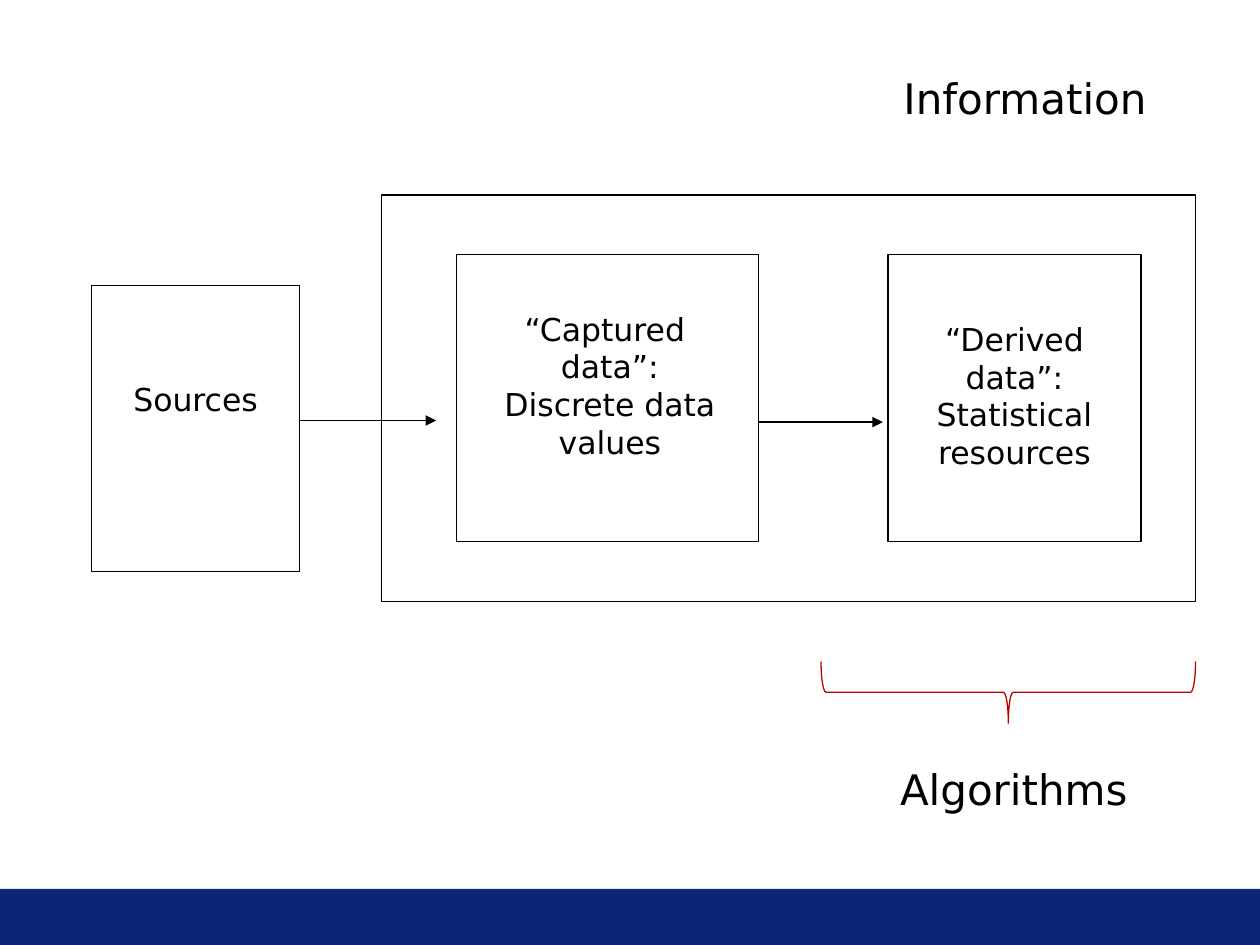
from dataclasses import dataclass

from lxml.etree import SubElement
from pptx import Presentation
from pptx.dml.color import RGBColor
from pptx.enum.shapes import MSO_CONNECTOR, MSO_SHAPE as Preset
from pptx.enum.text import MSO_ANCHOR, MSO_AUTO_SIZE, PP_ALIGN
from pptx.oxml.ns import qn
from pptx.util import Pt

BLACK, RED, NAVY = "000000", "C00000", "0C2577"
FONT = "DejaVu Sans"
LINE_WIDTH = 0.75
SLIDE_WIDTH, SLIDE_HEIGHT = 720, 540


@dataclass(frozen=True)
class Area:
    """A rectangle on the slide, in points."""
    left: float
    top: float
    width: float
    height: float

    @property
    def right(self) -> float:
        return self.left + self.width

    def lengths(self) -> tuple:
        return Pt(self.left), Pt(self.top), Pt(self.width), Pt(self.height)


@dataclass(frozen=True)
class Label:
    paragraphs: tuple
    area: Area
    size: float = 18


@dataclass(frozen=True)
class Arrow:
    start: float
    end: float
    y: float


def paint(color_format, color: str) -> None:
    color_format.rgb = RGBColor.from_string(color)


def add_outline(slide, area: Area, preset=Preset.RECTANGLE, color: str = BLACK):
    shape = slide.shapes.add_shape(preset, *area.lengths())
    shape.shadow.inherit = False
    shape.fill.background()
    paint(shape.line.color, color)
    shape.line.width = Pt(LINE_WIDTH)
    return shape


def add_band(slide, area: Area, color: str) -> None:
    band = slide.shapes.add_shape(Preset.RECTANGLE, *area.lengths())
    band.shadow.inherit = False
    band.fill.solid()
    paint(band.fill.fore_color, color)
    band.line.fill.background()


def add_text(slide, paragraphs: tuple, area: Area, *, size: float = 18,
             color: str = BLACK, align=PP_ALIGN.CENTER) -> None:
    """Write one paragraph per string; a newline is a line break."""
    frame = slide.shapes.add_textbox(*area.lengths()).text_frame
    frame.word_wrap = True
    frame.auto_size = MSO_AUTO_SIZE.SHAPE_TO_FIT_TEXT
    frame.vertical_anchor = MSO_ANCHOR.TOP
    for index, words in enumerate(paragraphs):
        paragraph = frame.add_paragraph() if index else frame.paragraphs[0]
        paragraph.text = words
        paragraph.alignment = align
        for run in paragraph.runs:
            run.font.name = FONT
            run.font.size = Pt(size)
            paint(run.font.color, color)


def add_arrow(slide, arrow: Arrow, color: str = BLACK) -> None:
    connector = slide.shapes.add_connector(
        MSO_CONNECTOR.STRAIGHT,
        Pt(arrow.start), Pt(arrow.y), Pt(arrow.end), Pt(arrow.y))
    paint(connector.line.color, color)
    connector.line.width = Pt(LINE_WIDTH)
    properties = connector.element.spPr
    SubElement(properties.find(qn("a:ln")), qn("a:tailEnd"), type="triangle")
    SubElement(properties, qn("a:effectLst"))


INFORMATION = Area(218.2, 111.4, 465, 232.4)
CAPTURED = Area(260.8, 145.4, 172.8, 164)
DERIVED = Area(507.4, 145.4, 144.6, 164)
SOURCES = Area(52.3, 163.1, 119, 163.3)
ALGORITHMS_BRACE = Area(558.5, 288.6, 35.3, 214)

LABELS = (
    Label(("Sources",), Area(SOURCES.left, 213.4, SOURCES.width, 29)),
    Label(("“Captured \ndata”:\nDiscrete data values",),
          Area(263.5, 173.4, 170, 94.5)),
    Label(("“Derived data”:", "Statistical resources"),
          Area(DERIVED.left, 179.2, DERIVED.width, 94.5)),
    Label(("Algorithms",), Area(496.2, 432.8, 166.2, 36), 24),
    Label(("Information",), Area(504.4, 38, 162.7, 36), 24),
)
ARROWS = (
    Arrow(SOURCES.right, 249.2, 240.3),
    Arrow(CAPTURED.right, 504.5, 241.2),
)


def main() -> None:
    presentation = Presentation()
    presentation.slide_width = Pt(SLIDE_WIDTH)
    presentation.slide_height = Pt(SLIDE_HEIGHT)
    slide = presentation.slides.add_slide(presentation.slide_layouts[6])

    add_band(slide, Area(0, 508, SLIDE_WIDTH, 32), NAVY)
    for area in (INFORMATION, CAPTURED, DERIVED, SOURCES):
        add_outline(slide, area)
    for label in LABELS:
        add_text(slide, label.paragraphs, label.area, size=label.size)
    for arrow in ARROWS:
        add_arrow(slide, arrow)

    brace = add_outline(slide, ALGORITHMS_BRACE, Preset.RIGHT_BRACE, RED)
    brace.rotation = 90
    brace.adjustments[0] = 0.08

    presentation.save("out.pptx")


if __name__ == "__main__":
    main()
